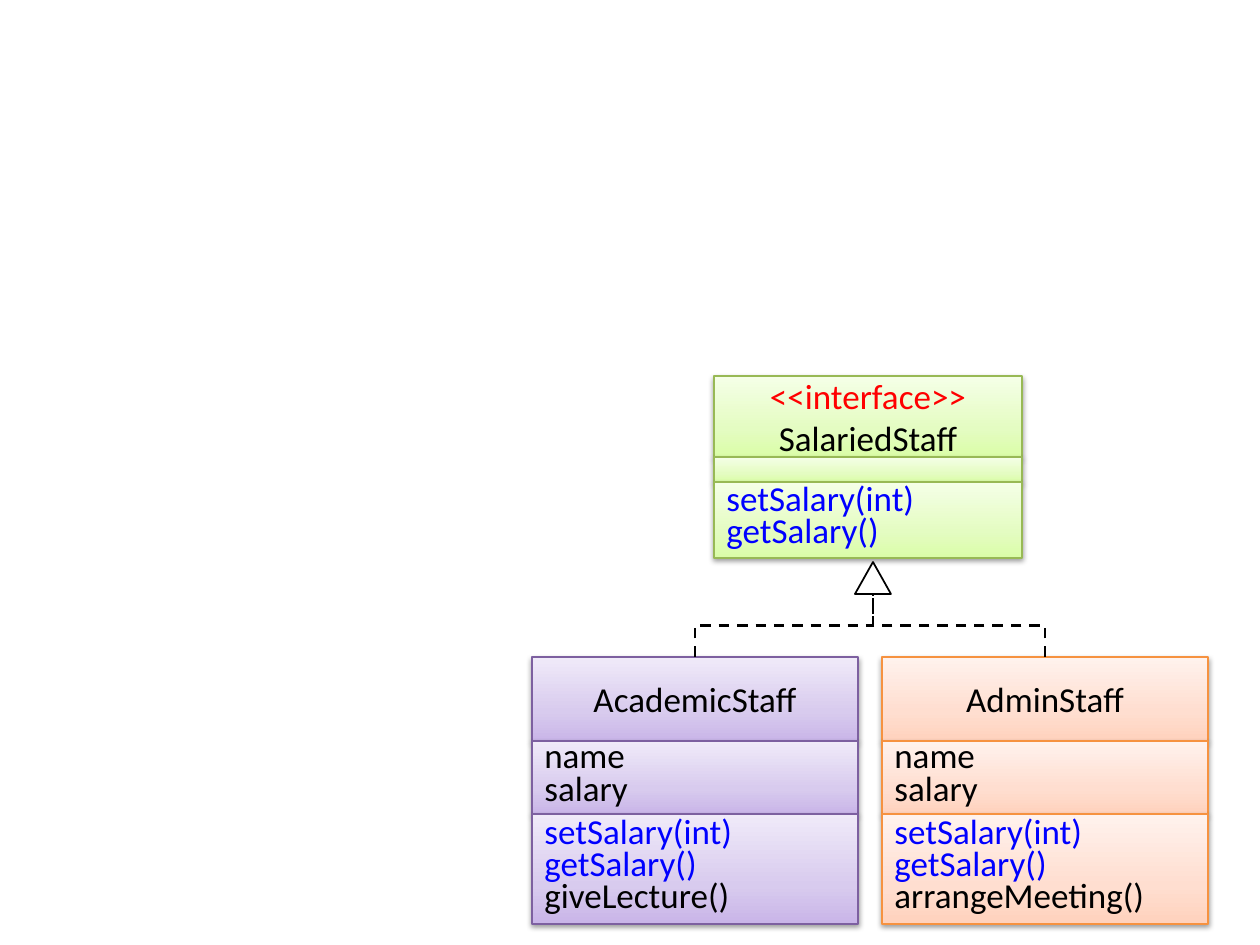
from lxml.etree import SubElement
from pptx import Presentation
from pptx.dml.color import RGBColor
from pptx.enum.dml import MSO_LINE
from pptx.enum.shapes import MSO_CONNECTOR as Connector, MSO_SHAPE as Shape
from pptx.enum.text import MSO_ANCHOR as Anchor, PP_ALIGN as Align
from pptx.oxml.ns import qn
from pptx.util import Emu, Pt

EMU_PER_PX = 914400 / 126
BLACK, RED, BLUE, WHITE = "000000", "FF0000", "0000FF", "FFFFFF"

# Each palette: outline, then the gradient from bottom to top
GREEN = ("98B955", ("DAFDA7", "E4FCC2", "F5FFE7"))
PURPLE = ("7D60A0", ("C9B5E8", "D8CBEE", "F0EAF9"))
ORANGE = ("F69240", ("FFD2BD", "FFDED0", "FFF2ED"))
GRADIENT_STOPS = (0, 35, 100)


def px(length):
    return Emu(round(length * EMU_PER_PX))


def color(hex_string):
    return RGBColor.from_string(hex_string)


def add_text(paragraph, text, font="Calibri", size=20, fill=BLACK,
             align=Align.LEFT, line_spacing=None, space_before=0):
    paragraph.alignment = align
    paragraph.line_spacing = line_spacing
    paragraph.space_before = Pt(space_before)
    run = paragraph.add_run()
    run.text = text
    run.font.name = font
    run.font.size = Pt(size)
    run.font.color.rgb = color(fill)


def add_color(parent, hex_string):
    return SubElement(parent, qn("a:srgbClr"), val=hex_string)


class ClassDiagram:
    def __init__(self, slide):
        self.slide = slide

    def compartment(self, left, top, width, height, palette, lines, heading=False):
        """One gradient box of a class, with (text, colour) lines."""
        outline, gradient = palette
        shape = self.slide.shapes.add_shape(
            Shape.RECTANGLE, px(left), px(top), px(width), px(height))
        shape.line.color.rgb = color(outline)
        shape.line.width = Pt(0.75)
        self.gradient(shape, gradient)
        self.soft_shadow(shape)
        frame = shape.text_frame
        frame.word_wrap = True
        frame.vertical_anchor = Anchor.MIDDLE
        for index, (text, fill) in enumerate(lines):
            paragraph = frame.add_paragraph() if index else frame.paragraphs[0]
            if heading:
                add_text(paragraph, text, fill=fill, align=Align.CENTER)
            else:
                add_text(paragraph, text, fill=fill, line_spacing=0.6,
                         space_before=4 if index else 0)

    def gradient(self, shape, colors):
        shape.fill.gradient()
        shape.fill.gradient_angle = 90
        stops = shape._element.spPr.find(qn("a:gradFill")).find(qn("a:gsLst"))
        for stop in list(stops):
            stops.remove(stop)
        for position, hex_string in zip(GRADIENT_STOPS, colors):
            stop = SubElement(stops, qn("a:gs"), pos=str(position * 1000))
            add_color(stop, hex_string)

    def soft_shadow(self, shape):
        shape.shadow.inherit = False
        effects = shape._element.spPr.find(qn("a:effectLst"))
        shadow = SubElement(effects, qn("a:outerShdw"), blurRad="40000",
                            dist="20000", dir="5400000", rotWithShape="0")
        SubElement(add_color(shadow, BLACK), qn("a:alpha"), val="38000")

    def class_box(self, left, top, width, palette, compartments):
        """Stack (height, lines) compartments, the first being the heading."""
        for index, (height, lines) in enumerate(compartments):
            self.compartment(left, top, width, height, palette, lines, index == 0)
            top += height

    def arrow_triangle(self, left, top, width, height):
        shape = self.slide.shapes.add_shape(
            Shape.FLOWCHART_EXTRACT, px(left), px(top), px(width), px(height))
        shape.shadow.inherit = False
        shape.fill.solid()
        shape.fill.fore_color.rgb = color(WHITE)
        shape.line.color.rgb = color(BLACK)
        shape.line.width = Pt(1)

    def dashed_elbow(self, start_x, start_y, end_x, end_y):
        """Elbow that leaves vertically: a horizontal one, turned a quarter."""
        center_x, center_y = (start_x + end_x) / 2, (start_y + end_y) / 2
        turn = 1 if end_x > start_x else -1
        half_x = turn * (start_y - center_y)
        half_y = turn * (center_x - start_x)
        connector = self.slide.shapes.add_connector(
            Connector.ELBOW, px(center_x + half_x), px(center_y + half_y),
            px(center_x - half_x), px(center_y - half_y))
        properties = connector._element.spPr
        properties.find(qn("a:xfrm")).set("rot", str(turn * 90 % 360 * 60000))
        connector.line.color.rgb = color(BLACK)
        connector.line.width = Pt(1.5)
        connector.line.dash_style = MSO_LINE.DASH
        SubElement(properties, qn("a:effectLst"))


def main():
    presentation = Presentation()
    presentation.slide_width, presentation.slide_height = px(1260), px(945)
    slide = presentation.slides.add_slide(presentation.slide_layouts[6])
    diagram = ClassDiagram(slide)

    salary_methods = [("setSalary(int)", BLUE), ("getSalary()", BLUE)]
    fields = [("name", BLACK), ("salary", BLACK)]
    staff_top, staff_width = 657, 326
    staff = [
        (532, PURPLE, "AcademicStaff", "giveLecture()"),
        (882, ORANGE, "AdminStaff", "arrangeMeeting()"),
    ]

    # Implementing classes, each joined to the interface arrow
    for left, palette, name, own_method in staff:
        diagram.class_box(left, staff_top, staff_width, palette, [
            (84, [(name, BLACK)]),
            (73, fields),
            (110, salary_methods + [(own_method, BLACK)]),
        ])
        diagram.dashed_elbow(left + staff_width // 2, staff_top, 873, 594)
    diagram.arrow_triangle(855, 562, 36, 32)

    # Interface
    diagram.class_box(714, 376, 308, GREEN, [
        (81, [("<<interface>>", RED), ("SalariedStaff", BLACK)]),
        (25, []),
        (76, salary_methods),
    ])

    presentation.save("out.pptx")


if __name__ == "__main__":
    main()
